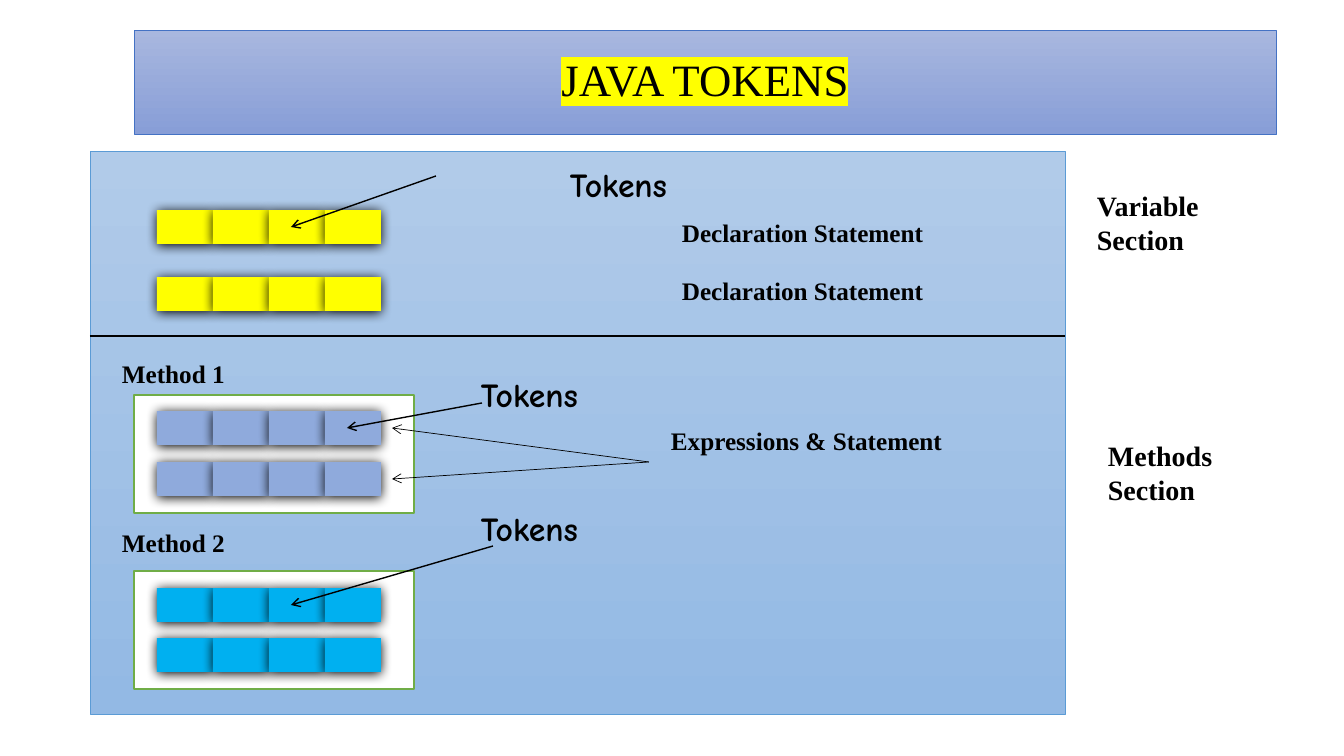
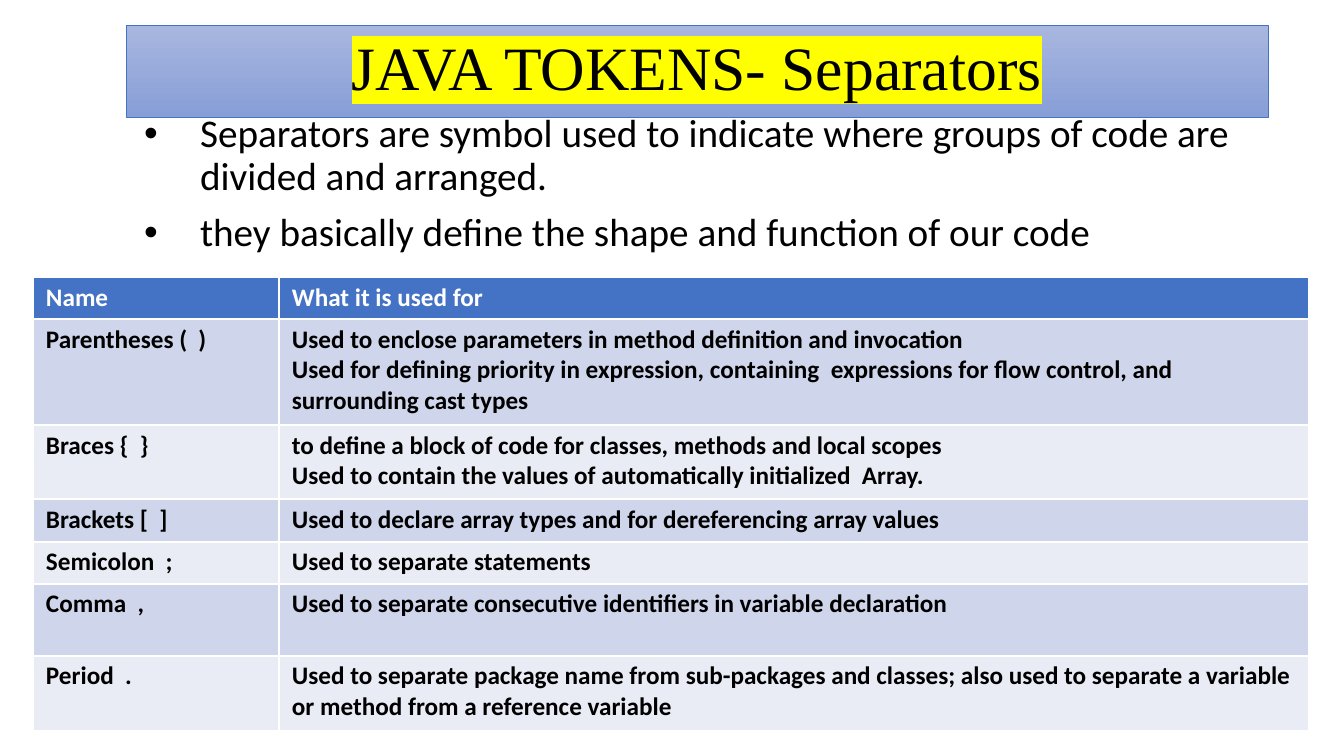
"""Builds two slides on Java tokens and separators."""
from lxml import etree
from pptx import Presentation
from pptx.dml.color import RGBColor
from pptx.enum.shapes import MSO_CONNECTOR, MSO_SHAPE
from pptx.enum.text import MSO_ANCHOR, MSO_AUTO_SIZE, PP_ALIGN
from pptx.oxml import parse_xml
from pptx.oxml.ns import nsdecls, qn
from pptx.util import Emu, Pt

SLIDE_W, SLIDE_H = 1344, 756
EMU_PER_PX = 12192000 / SLIDE_W

COLORS = {
    "text": "000000",
    "white": "FFFFFF",
    "highlight": "FFFF00",
    "band_top": "A8B7DF",
    "band_bottom": "889ED7",
    "band_edge": "4472C4",
    "panel_top": "B1CBE9",
    "panel_bottom": "93B9E4",
    "panel_edge": "5B9BD5",
    "method_edge": "70AD47",
    "variable_token": "FFFF00",
    "method1_token": "8FAADC",
    "method2_token": "00B0F0",
    "header": "4472C4",
    "odd_row": "CFD5EA",
    "even_row": "E9EBF5",
}

SERIF = "Times New Roman"
FORMATS = {
    "token": {"name": "Comic Neue", "size": Pt(24), "bold": True},
    "label": {"name": SERIF, "size": Pt(18), "bold": True},
    "section": {"name": SERIF, "size": Pt(20), "bold": True},
    "bullet": {"name": "Calibri", "size": Pt(28), "bold": False},
    "cell": {"name": "Calibri", "size": Pt(18), "bold": True},
}

TOKEN_LEFT, TOKEN_W, TOKEN_H, TOKENS_PER_ROW = 157, 56, 34, 4
TOKEN_ROWS = [
    (210, "variable_token"), (277, "variable_token"),
    (411, "method1_token"), (462, "method1_token"),
    (588, "method2_token"), (638, "method2_token"),
]
METHOD_TOPS = [395, 571]
LABELS = [
    ("Tokens", (560, 159, 235, 51), "token"),
    ("Tokens", (471, 369, 235, 51), "token"),
    ("Tokens", (471, 503, 235, 51), "token"),
    ("Method 1", (112, 353, 191, 40), "label"),
    ("Method 2", (112, 522, 191, 40), "label"),
    ("Declaration Statement", (672, 212, 381, 40), "label"),
    ("Declaration Statement", (672, 270, 381, 40), "label"),
    ("Expressions & Statement", (661, 420, 291, 40), "label"),
    ("Variable Section", (1087, 184, 202, 78), "section"),
    ("Methods Section", (1098, 434, 202, 78), "section"),
]
ARROWS = [
    ((649, 462), (392, 428), 0.5),
    ((649, 462), (392, 479), 0.5),
    ((436, 176), (291, 227), 1),
    ((482, 403), (347, 428), 1),
    ((493, 546), (291, 605), 1),
]

BULLETS = [
    "Separators are symbol used to indicate where groups of code are divided and arranged.",
    "they basically define the shape and function of our code",
]
COLUMN_WIDTHS = [246, 1030]
ROW_HEIGHTS = [42, 106, 74, 43, 42, 72, 75]
SEPARATORS = [
    ("Name", "What it is used for"),
    ("Parentheses (  )",
     "Used to enclose parameters in method definition and invocation\n"
     "Used for defining priority in expression, containing  expressions for flow control, "
     "and surrounding cast types"),
    ("Braces {  }",
     "to define a block of code for classes, methods and local scopes\n"
     "Used to contain the values of automatically initialized  Array."),
    ("Brackets [  ]", "Used to declare array types and for dereferencing array values"),
    ("Semicolon  ;", "Used to separate statements"),
    ("Comma  ,", "Used to separate consecutive identifiers in variable declaration"),
    ("Period  .",
     "Used to separate package name from sub-packages and classes; also used to separate "
     "a variable or method from a reference variable"),
]


def px(length):
    """Turns pixels into EMU."""
    return Emu(round(length * EMU_PER_PX))


def box(*lengths):
    """Turns several pixel lengths into EMU."""
    return [px(length) for length in lengths]


def rgb(color):
    """Looks up a named colour."""
    return RGBColor.from_string(COLORS[color])


def format_font(font, values, color="text"):
    """Applies a dict of format values and a colour to a font."""
    for attribute, value in values.items():
        setattr(font, attribute, value)
    font.color.rgb = rgb(color)


def place(shape, left, top, width, height):
    """Moves and sizes a placeholder."""
    for attribute, length in zip(("left", "top", "width", "height"), (left, top, width, height)):
        setattr(shape, attribute, px(length))


def fill_gradient(shape, top_color, bottom_color):
    """Fills a shape with a downward gradient."""
    shape.fill.gradient()
    shape.fill.gradient_angle = 270
    for stop, color in zip(shape.fill.gradient_stops, (top_color, bottom_color)):
        stop.color.rgb = rgb(color)


def outline(shape, color, points):
    """Draws the line of a shape."""
    shape.line.color.rgb = rgb(color)
    shape.line.width = Pt(points)


def set_title(slide, text, bounds, points):
    """Turns the title placeholder into a highlighted title band."""
    band = slide.shapes.title
    place(band, *bounds)
    fill_gradient(band, "band_top", "band_bottom")
    outline(band, "band_edge", 0.5)
    frame = band.text_frame
    frame.text = text
    frame.auto_size = MSO_AUTO_SIZE.NONE
    frame.vertical_anchor = MSO_ANCHOR.MIDDLE
    line = frame.paragraphs[0]
    line.alignment = PP_ALIGN.CENTER
    line.line_spacing = 0.9
    font = line.runs[0].font
    format_font(font, {"name": SERIF, "size": Pt(points), "bold": False})
    highlight = parse_xml(
        f'<a:highlight {nsdecls("a")}><a:srgbClr val="{COLORS["highlight"]}"/></a:highlight>')
    line.runs[0]._r.rPr.find(qn("a:solidFill")).addnext(highlight)


def add_rectangle(slide, *bounds):
    """Adds a rectangle without a shadow."""
    rectangle = slide.shapes.add_shape(MSO_SHAPE.RECTANGLE, *box(*bounds))
    rectangle.shadow.inherit = False
    return rectangle


def add_token(slide, left, top, color):
    """Adds one token with a soft black shadow."""
    token = add_rectangle(slide, left, top, TOKEN_W, TOKEN_H)
    token.fill.solid()
    token.fill.fore_color.rgb = rgb(color)
    token.line.fill.background()
    token._element.spPr.find(qn("a:effectLst")).append(parse_xml(
        f'<a:outerShdw {nsdecls("a")} blurRad="{Pt(8.5)}" dist="{Pt(1)}" dir="5400000" '
        f'algn="ctr" rotWithShape="0"><a:srgbClr val="{COLORS["text"]}"/></a:outerShdw>'))


def add_label(slide, text, bounds, style):
    """Adds a text label."""
    frame = slide.shapes.add_textbox(*box(*bounds)).text_frame
    frame.word_wrap = True
    frame.text = text
    format_font(frame.paragraphs[0].runs[0].font, FORMATS[style])


def add_line(slide, start, end, points, arrow=False):
    """Adds a straight line, with an arrowhead at its end if asked."""
    line = slide.shapes.add_connector(MSO_CONNECTOR.STRAIGHT, *box(*start, *end))
    outline(line, "text", points)
    if arrow:
        etree.SubElement(line.line._get_or_add_ln(), qn("a:tailEnd"), type="arrow")
    etree.SubElement(line._element.spPr, qn("a:effectLst"))


def set_bullets(slide, items, bounds):
    """Fills the body placeholder with a bulleted list."""
    body = slide.placeholders[1]
    place(body, *bounds)
    frame = body.text_frame
    frame.text = "\n".join(items)
    frame.auto_size = MSO_AUTO_SIZE.NONE
    for number, item in enumerate(frame.paragraphs):
        properties = item._p.get_or_add_pPr()
        properties.set("marL", str(px(56)))
        properties.set("indent", str(-px(56)))
        etree.SubElement(properties, qn("a:buFont"), typeface="Arial")
        etree.SubElement(properties, qn("a:buChar"), char="•")
        item.line_spacing = 0.9
        item.space_before = Pt(10 if number else 0)
        format_font(item.runs[0].font, FORMATS["bullet"])


def fill_cell(cell, text, fill, color):
    """Writes and colours one table cell."""
    cell.text = text
    cell.margin_left = cell.margin_right = px(13)
    cell.fill.solid()
    cell.fill.fore_color.rgb = rgb(fill)
    for line in cell.text_frame.paragraphs:
        format_font(line.runs[0].font, FORMATS["cell"], color)


def add_separator_table(slide, left, top):
    """Adds the table of separators."""
    table = slide.shapes.add_table(
        len(SEPARATORS), len(COLUMN_WIDTHS),
        *box(left, top, sum(COLUMN_WIDTHS), sum(ROW_HEIGHTS))).table
    for column, width in zip(table.columns, COLUMN_WIDTHS):
        column.width = px(width)
    for number, (row, height, texts) in enumerate(zip(table.rows, ROW_HEIGHTS, SEPARATORS)):
        row.height = px(height)
        band = "odd_row" if number % 2 else "even_row"
        fill, color = (band, "text") if number else ("header", "white")
        for cell, text in zip(row.cells, texts):
            fill_cell(cell, text, fill, color)


def build_token_slide(slide):
    """Draws the program sections and their tokens."""
    set_title(slide, "JAVA TOKENS", (134, 30, 1142, 104), 32)
    program = add_rectangle(slide, 90, 151, 975, 563)
    fill_gradient(program, "panel_top", "panel_bottom")
    outline(program, "panel_edge", 0.5)
    for top in METHOD_TOPS:
        method = add_rectangle(slide, 134, top, 280, 118)
        method.fill.solid()
        method.fill.fore_color.rgb = rgb("white")
        outline(method, "method_edge", 1)
    for top, color in TOKEN_ROWS:
        for column in range(TOKENS_PER_ROW):
            add_token(slide, TOKEN_LEFT + column * TOKEN_W, top, color)
    add_line(slide, (90, 336), (1065, 336), 1.5)
    for text, bounds, style in LABELS:
        add_label(slide, text, bounds, style)
    for start, end, points in ARROWS:
        add_line(slide, start, end, points, arrow=True)


def build_separator_slide(slide):
    """Explains separators with a list and a table."""
    set_title(slide, "JAVA TOKENS- Separators", (126, 25, 1142, 92), 44)
    set_bullets(slide, BULLETS, (134, 109, 1142, 504))
    add_separator_table(slide, 33, 277)


def main():
    """Builds and saves the presentation."""
    deck = Presentation()
    deck.slide_width, deck.slide_height = box(SLIDE_W, SLIDE_H)
    title_only, title_and_body = deck.slide_layouts[5], deck.slide_layouts[1]
    build_token_slide(deck.slides.add_slide(title_only))
    build_separator_slide(deck.slides.add_slide(title_and_body))
    deck.save("out.pptx")


if __name__ == "__main__":
    main()
